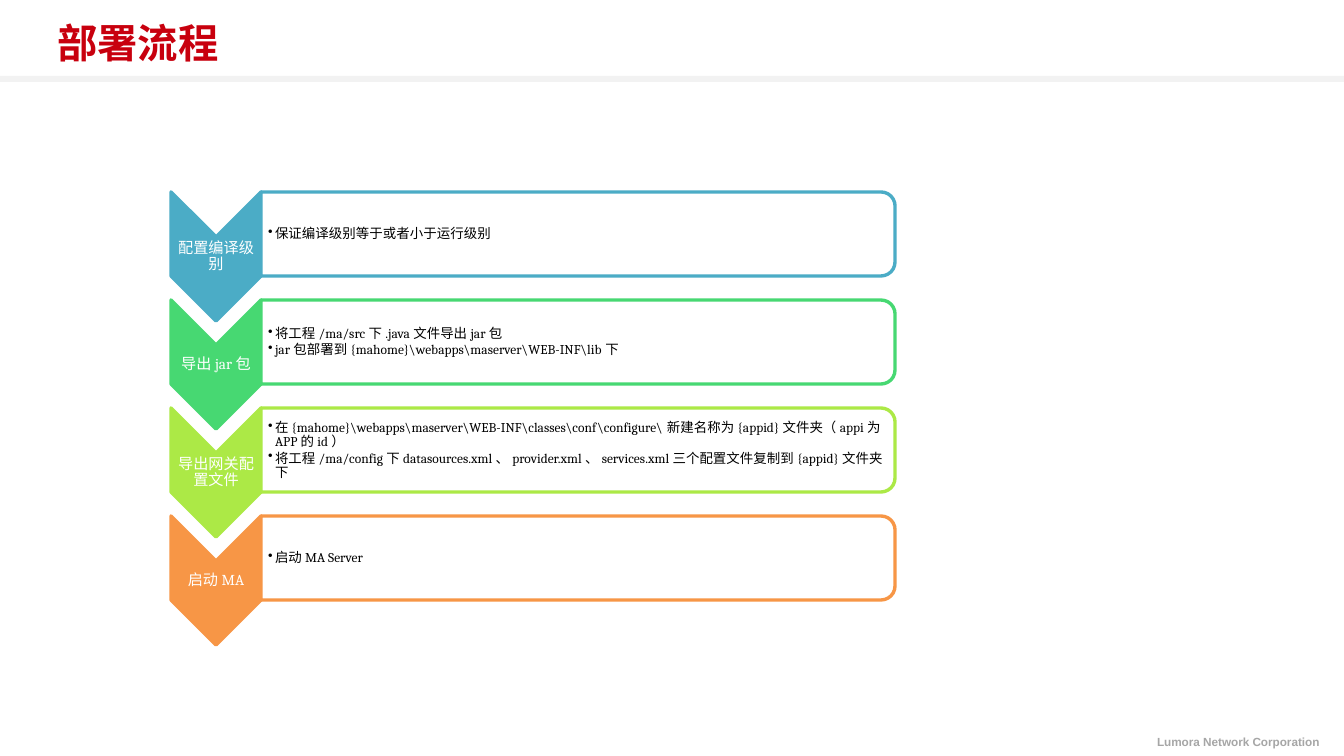
from dataclasses import dataclass

from lxml import etree
from pptx import Presentation
from pptx.dml.color import RGBColor as RGB
from pptx.enum.shapes import MSO_SHAPE as SHAPE
from pptx.enum.text import MSO_ANCHOR as ANCHOR, MSO_AUTO_SIZE as AUTO, PP_ALIGN as ALIGN
from pptx.oxml.ns import qn
from pptx.util import Emu, Pt

EMU_PER_PX = 914400 / 121


def px(n):
    return Emu(round(n * EMU_PER_PX))


@dataclass(frozen=True)
class Theme:
    title: str = "C8000E"
    rule: str = "F2F2F2"
    footer: str = "A6A6A6"
    white: str = "FFFFFF"
    black: str = "000000"
    body_font: str = "Cambria"
    cjk_font: str = "Noto Sans CJK SC"
    footer_font: str = "Arial"
    title_size: int = 24
    label_size: int = 9
    body_size: int = 8
    footer_size: int = 7
    line_width: int = 2


class Deck:
    def __init__(self, slide, theme):
        self.s, self.theme = slide, theme

    def font(self, p, size, color, name, bold=False):
        for r in p.runs:
            f = r.font
            f.size, f.bold, f.name = Pt(size), bold, name
            f.color.rgb = RGB.from_string(color)
            ea = etree.SubElement(r._r.get_or_add_rPr(), qn("a:ea"))
            ea.set("typeface", self.theme.cjk_font)

    def title(self, text, x, y, w, h):
        t, sp = self.theme, self.s.shapes.title
        sp.left, sp.top, sp.width, sp.height = map(px, (x, y, w, h))
        tf = sp.text_frame
        tf.text = text
        tf.auto_size, tf.vertical_anchor = AUTO.NONE, ANCHOR.MIDDLE
        p = tf.paragraphs[0]
        p.alignment = ALIGN.LEFT
        self.font(p, t.title_size, t.title, t.cjk_font, True)

    def shape(self, kind, x, y, w, h, fill, line=None, turned=False):
        """x, y, w, h are the bounds as seen, also for a quarter turn."""
        if turned:
            x, y, w, h = x + (w - h) / 2, y + (h - w) / 2, h, w
        sp = self.s.shapes.add_shape(kind, *map(px, (x, y, w, h)))
        sp.shadow.inherit = False
        sp.rotation = 90 if turned else 0
        sp.fill.solid()
        sp.fill.fore_color.rgb = RGB.from_string(fill)
        if line:
            sp.line.color.rgb = RGB.from_string(line)
            sp.line.width = Pt(self.theme.line_width)
        else:
            sp.line.fill.background()

    def text_box(self, text, x, y, w, h, margin=1, left=1, wrap=True):
        tf = self.s.shapes.add_textbox(*map(px, (x, y, w, h))).text_frame
        tf.word_wrap, tf.vertical_anchor = wrap, ANCHOR.MIDDLE
        tf.margin_top = tf.margin_right = tf.margin_bottom = px(margin)
        tf.margin_left = px(left)
        tf.text = text
        return tf

    def label(self, text, x, y, w, h):
        t = self.theme
        p = self.text_box(text, x, y, w, h).paragraphs[0]
        p.alignment, p.line_spacing, p.space_after = ALIGN.CENTER, 0.9, Pt(3)
        self.font(p, t.label_size, t.white, t.body_font)

    def bullets(self, items, x, y, w, h, indent=7):
        t = self.theme
        for p in self.text_box("\n".join(items), x, y, w, h, left=indent).paragraphs:
            p.line_spacing, p.space_after = 0.9, Pt(1.2)
            pPr = p._p.get_or_add_pPr()
            pPr.set("marL", str(px(indent)))
            pPr.set("indent", str(-px(indent)))
            etree.SubElement(pPr, qn("a:buChar")).set("char", "•")
            self.font(p, t.body_size, t.black, t.body_font)

    def footer(self, text, x, y, w, h):
        t = self.theme
        p = self.text_box(text, x, y, w, h, margin=6, left=12, wrap=False).paragraphs[0]
        self.font(p, t.footer_size, t.footer, t.footer_font, True)


STEPS = [
    ("配置编译级别", "4BACC6", ["保证编译级别等于或者小于运行级别"]),
    ("导出jar包", "47D872", [
        "将工程/ma/src下.java文件导出jar包",
        r"jar包部署到{mahome}\webapps\maserver\WEB-INF\lib下"]),
    ("导出网关配置文件", "ACE946", [
        r"在{mahome}\webapps\maserver\WEB-INF\classes\conf\configure"
        "\\新建名称为{appid}文件夹（appi为APP的id）",
        "将工程/ma/config下datasources.xml、provider.xml、services.xml"
        "三个配置文件复制到{appid}文件夹下"]),
    ("启动MA", "F79646", ["启动MA Server"]),
]
STEP_TOP, STEP_PITCH = 192, 108


def main():
    prs = Presentation()
    prs.slide_width, prs.slide_height = px(1344), px(756)
    theme = Theme()
    deck = Deck(prs.slides.add_slide(prs.slide_layouts[5]), theme)

    # Header and footer
    deck.shape(SHAPE.RECTANGLE, 0, 76, 1344, 6, theme.rule)
    deck.title("部署流程", 45, 11, 1087, 63)
    deck.footer("Lumora Network Corporation", 1145, 728, 189, 27)

    # Deployment steps: chevron with its label, then the panel with its list
    for i, (name, color, items) in enumerate(STEPS):
        y = STEP_TOP + i * STEP_PITCH
        deck.shape(SHAPE.CHEVRON, 171, y, 90, 129, color, color, turned=True)
        deck.label(name, 171, y + 45, 90, 39)
        deck.shape(SHAPE.ROUND_2_SAME_RECTANGLE, 261, y, 634, 84,
                   theme.white, color, turned=True)
        deck.bullets(items, 261, y + 5, 630, 75)

    prs.save("out.pptx")


if __name__ == "__main__":
    main()
